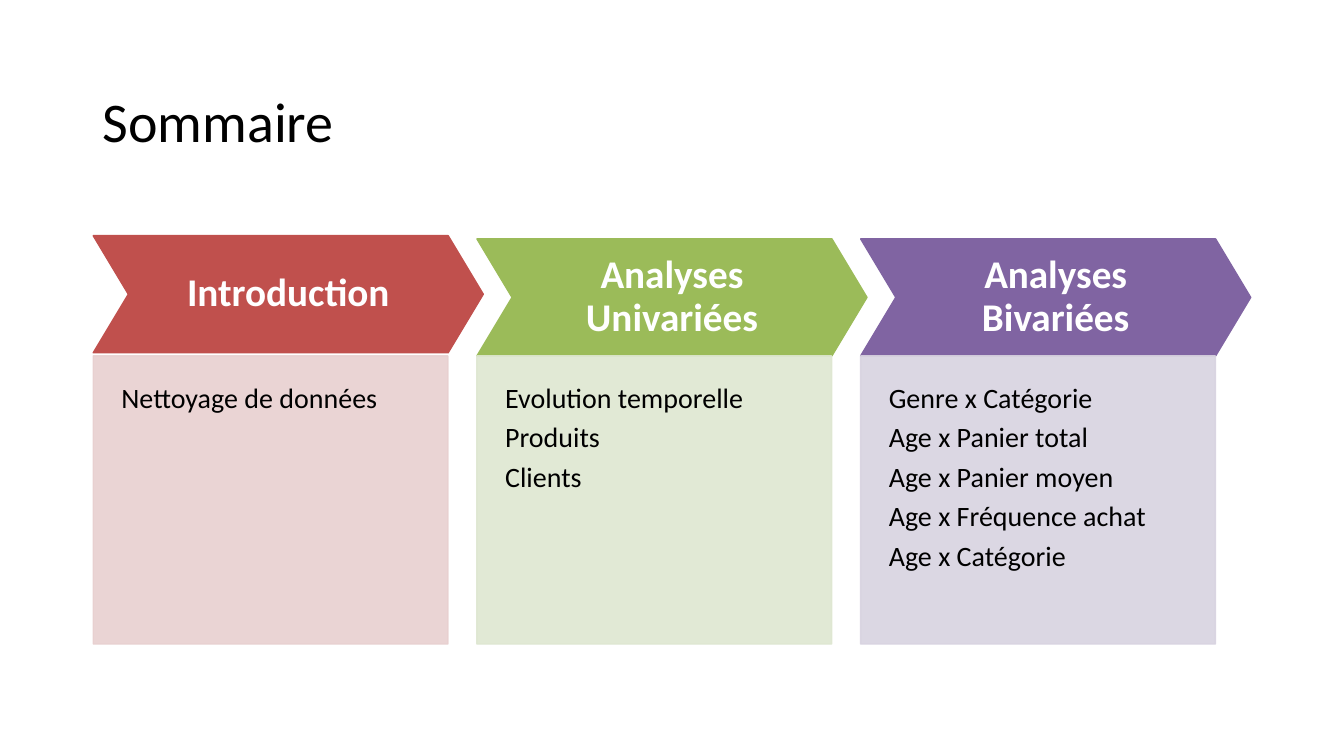
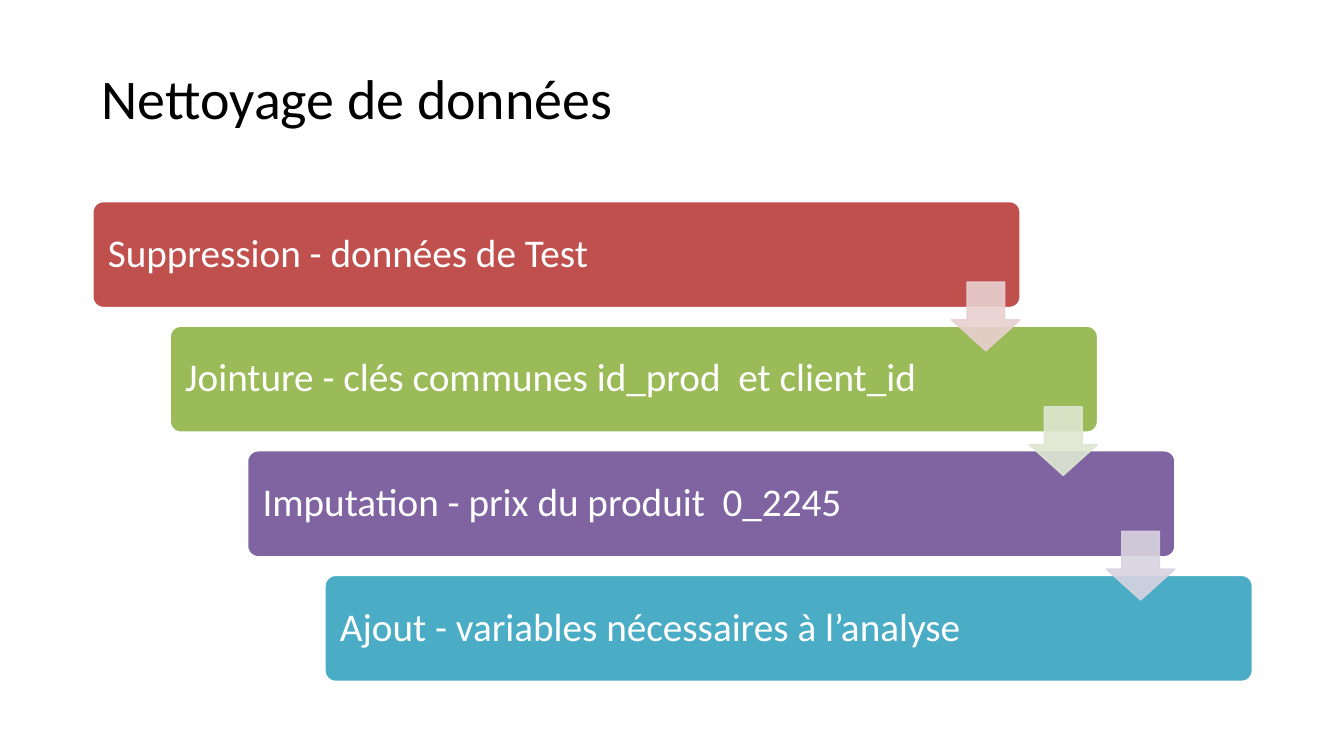
from lxml.etree import SubElement as Sub
from pptx import Presentation
from pptx.dml.color import RGBColor
from pptx.enum.shapes import MSO_SHAPE as Kind
from pptx.enum.text import MSO_ANCHOR as Anchor, PP_ALIGN as Align
from pptx.oxml.ns import qn
from pptx.util import Cm, Pt

FONT = "Calibri"
BLACK, WHITE = "000000", "FFFFFF"
RED, GREEN, VIOLET, BLUE = "C0504D", "9BBB59", "8064A2", "4BACC6"
ROSE, SAGE, LILAC = "E8D0D0", "DEE7D1", "D8D3E0"


def color(code):
    return RGBColor.from_string(code)


class Deck:
    def __init__(self):
        self.prs = Presentation()
        self.prs.slide_width = Cm(33.87)
        self.prs.slide_height = Cm(19.05)
        self.slide = None

    def page(self, title, left, top):
        self.slide = self.prs.slides.add_slide(self.prs.slide_layouts[6])
        box = self.slide.shapes.add_textbox(
            Cm(left), Cm(top), Cm(29.21), Cm(3.15))
        self.label(box, [title], 40, BLACK, (0.25, 0.13, 0.25, 0.13))

    def label(self, shape, lines, size, ink, pads, align=Align.LEFT,
              anchor=Anchor.MIDDLE, bold=False, gap=0):
        frame = shape.text_frame
        frame.word_wrap = True
        frame.vertical_anchor = anchor
        (frame.margin_left, frame.margin_top,
         frame.margin_right, frame.margin_bottom) = map(Cm, pads)
        frame.text = "\n".join(lines)
        for para in frame.paragraphs:
            para.alignment = align
            para.line_spacing = 0.9
            para.space_after = Pt(gap)
            for run in para.runs:
                font = run.font
                font.name, font.size, font.bold = FONT, Pt(size), bold
                font.color.rgb = color(ink)

    def shape(self, kind, left, top, width, height, fill,
              line=None, adjs=(), alpha=None):
        item = self.slide.shapes.add_shape(
            kind, Cm(left), Cm(top), Cm(width), Cm(height))
        item.shadow.inherit = False
        for spot, value in enumerate(adjs):
            item.adjustments[spot] = value
        item.fill.solid()
        item.fill.fore_color.rgb = color(fill)
        item.line.color.rgb = color(line or fill)
        item.line.width = Pt(1)
        if alpha:
            for node in item.element.spPr.iter(qn("a:srgbClr")):
                Sub(node, qn("a:alpha"), val=str(alpha * 1000))
        return item

    def head(self, text, left, top, fill):
        item = self.shape(Kind.CHEVRON, left, top, 9.83, 2.95, fill,
                          adjs=[0.3])
        self.label(item, [text], 28, WHITE, [0.36] * 4,
                   align=Align.CENTER, bold=True)

    def panel(self, lines, left, top, fill):
        item = self.shape(Kind.RECTANGLE, left, top, 8.94, 7.26, fill,
                          alpha=90)
        self.label(item, lines, 20, BLACK, (0.71, 0.71, 0.71, 1.42),
                   anchor=Anchor.TOP, gap=6.6)

    def step(self, text, left, top, fill):
        item = self.shape(Kind.ROUNDED_RECTANGLE, left, top, 23.37, 2.67,
                          fill, line=WHITE, adjs=[0.1])
        self.label(item, [text], 28, WHITE, [0.3] * 4)

    def arrow(self, left, top, fill):
        self.shape(Kind.DOWN_ARROW, left, top, 1.73, 1.73, fill,
                   adjs=[0.55, 0.45], alpha=90)


def agenda(deck):
    deck.page("Sommaire", 2.34, 1.55)
    parts = [
        ("Introduction", 5.94, RED, ROSE, ["Nettoyage de données"]),
        ("Analyses Univariées", 6.02, GREEN, SAGE,
         ["Evolution temporelle", "Produits", "Clients"]),
        ("Analyses Bivariées", 6.02, VIOLET, LILAC,
         ["Genre x Catégorie", "Age x Panier total", "Age x Panier moyen",
          "Age x Fréquence achat", "Age x Catégorie"]),
    ]
    for col, (name, top, dark, pale, lines) in enumerate(parts):
        left = 2.35 + 9.67 * col
        deck.head(name, left, top, dark)
        deck.panel(lines, left, 8.97, pale)


def cleaning(deck):
    deck.page("Nettoyage de données", 2.32, 0.97)
    steps = [
        ("Suppression - données de Test", RED),
        ("Jointure - clés communes id_prod  et client_id", GREEN),
        ("Imputation - prix du produit  0_2245", VIOLET),
        ("Ajout - variables nécessaires à l’analyse", BLUE),
    ]
    spots = [(2.34 + 1.95 * row, 5.08 + 3.14 * row)
             for row in range(len(steps))]
    for (text, fill), (left, top) in zip(steps, spots):
        deck.step(text, left, top, fill)
    for fill, (left, top) in zip([ROSE, SAGE, LILAC], spots):
        deck.arrow(left + 21.64, top + 2.03, fill)


def main():
    deck = Deck()
    agenda(deck)
    cleaning(deck)
    deck.prs.save("out.pptx")


if __name__ == "__main__":
    main()
